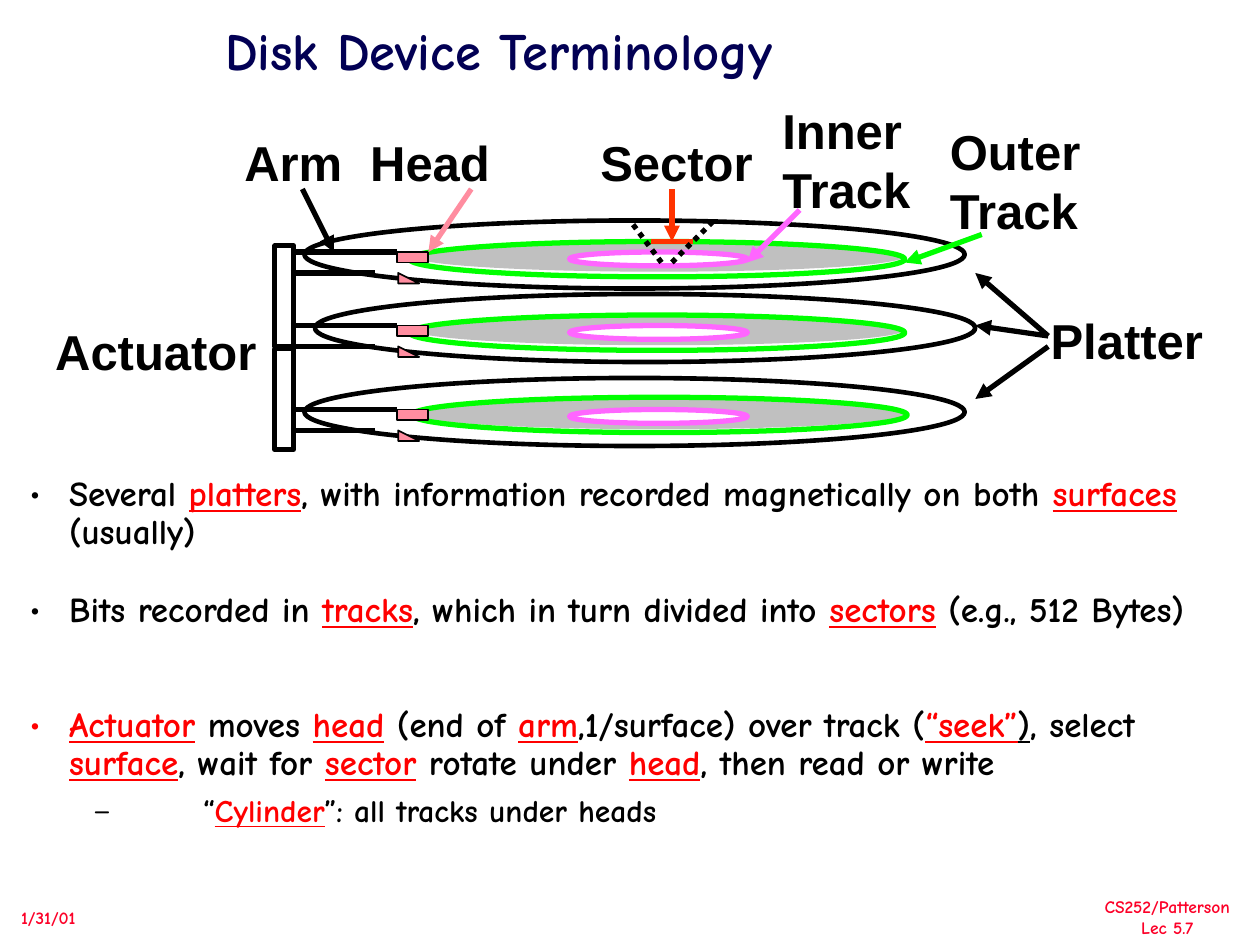
"""Build the disk device terminology slide."""
from dataclasses import dataclass

import pptx
import pptx.dml.color
import pptx.enum.dml
import pptx.enum.shapes
import pptx.enum.text
import pptx.oxml
import pptx.oxml.ns
import pptx.util

Pt = pptx.util.Pt
RGBColor = pptx.dml.color.RGBColor
Shape = pptx.enum.shapes.MSO_SHAPE
Align = pptx.enum.text.PP_ALIGN
qn = pptx.oxml.ns.qn

BLACK = RGBColor(0x00, 0x00, 0x00)
WHITE = RGBColor(0xFF, 0xFF, 0xFF)
NAVY = RGBColor(0x02, 0x00, 0x54)
RED = RGBColor(0xFF, 0x00, 0x00)
FOOTER_RED = RGBColor(0xFC, 0x01, 0x28)
SECTOR_RED = RGBColor(0xFF, 0x33, 0x00)
GREEN = RGBColor(0x00, 0xFF, 0x00)
MAGENTA = RGBColor(0xFF, 0x66, 0xFF)
SALMON = RGBColor(0xFF, 0x8D, 0xA0)
GRAY = RGBColor(0xC0, 0xC0, 0xC0)
COMIC = "Comic Neue"


@dataclass(frozen=True)
class Span:
    text: str
    color: RGBColor = BLACK
    underline: bool = False


@dataclass(frozen=True)
class Bullet:
    spans: list[Span]
    symbol: str = "•"
    color: RGBColor = BLACK
    size: float = 20
    margin: float = 22.5
    indent: float = -22.5
    before: float = 0


@dataclass(frozen=True)
class Label:
    lines: list[str]
    left: float
    top: float
    width: float
    height: float
    size: float = 28
    font: str = "Arial"
    color: RGBColor = BLACK
    align: Align = Align.LEFT


@dataclass(frozen=True)
class Line:
    start: tuple[float, float]
    end: tuple[float, float]
    color: RGBColor = BLACK
    arrow: bool = True
    dotted: bool = False


@dataclass(frozen=True)
class Platter:
    left: float
    top: float
    track_left: float = 234
    track_top: float = 12


def key(text: str) -> Span:
    return Span(text, RED, True)


def add_span(para, span: Span, size: float, font: str) -> None:
    run = para.add_run()
    run.text = span.text
    run.font.size, run.font.name, run.font.bold = Pt(size), font, True
    run.font.color.rgb = span.color
    if span.underline:
        run.font.underline = True


def draw_label(slide, label: Label) -> None:
    box = slide.shapes.add_textbox(*map(Pt, (label.left, label.top, label.width, label.height)))
    frame = box.text_frame
    frame.word_wrap = False
    frame.auto_size = pptx.enum.text.MSO_AUTO_SIZE.NONE
    for index, text in enumerate(label.lines):
        para = frame.add_paragraph() if index else frame.paragraphs[0]
        para.alignment = label.align
        add_span(para, Span(text, label.color), label.size, label.font)


def draw_bullets(slide, top: float, height: float, bullets: list[Bullet]) -> None:
    frame = slide.shapes.add_textbox(Pt(12), Pt(top), Pt(708), Pt(height)).text_frame
    frame.word_wrap = True
    frame.margin_left = frame.margin_right = Pt(5)
    frame.margin_top = frame.margin_bottom = Pt(2.4)
    for index, bullet in enumerate(bullets):
        para = frame.add_paragraph() if index else frame.paragraphs[0]
        para.line_spacing, para.space_before = 0.9, Pt(bullet.before)
        properties = para._p.get_or_add_pPr()
        properties.set("marL", str(Pt(bullet.margin)))
        properties.set("indent", str(Pt(bullet.indent)))
        namespace = pptx.oxml.ns.nsdecls("a")
        for element in (
            f'<a:buClr {namespace}><a:srgbClr val="{bullet.color}"/></a:buClr>',
            f'<a:buFont {namespace} typeface="{COMIC}"/>',
            f'<a:buChar {namespace} char="{bullet.symbol}"/>',
        ):
            properties.append(pptx.oxml.parse_xml(element))
        for span in bullet.spans:
            add_span(para, span, bullet.size, COMIC)


def draw_shape(slide, kind: Shape, left: float, top: float, width: float, height: float,
               fill: RGBColor | None = None, line: RGBColor | None = None, weight: float = 3) -> None:
    shape = slide.shapes.add_shape(kind, Pt(left), Pt(top), Pt(width), Pt(height))
    shape.shadow.inherit = False
    if fill is None:
        shape.fill.background()
    else:
        shape.fill.solid()
        shape.fill.fore_color.rgb = fill
    if line is None:
        shape.line.fill.background()
    else:
        shape.line.color.rgb = line
        shape.line.width = Pt(weight)


def draw_line(slide, line: Line) -> None:
    connector = slide.shapes.add_connector(
        pptx.enum.shapes.MSO_CONNECTOR.STRAIGHT, *map(Pt, line.start + line.end))
    connector.line.color.rgb = line.color
    connector.line.width = Pt(3)
    if line.dotted:
        connector.line.dash_style = pptx.enum.dml.MSO_LINE.ROUND_DOT
    properties = connector.element.spPr
    if line.arrow:
        outline = properties.find(qn("a:ln"))
        outline.append(outline.makeelement(qn("a:tailEnd"), {"type": "triangle"}))
    properties.append(properties.makeelement(qn("a:effectLst"), {}))


def draw_platter(slide, platter: Platter) -> None:
    top = platter.top
    draw_shape(slide, Shape.OVAL, platter.left, top, 377.3, 38.9, WHITE, BLACK, 2.64)
    draw_shape(slide, Shape.OVAL, 236.6, top + 12, 280, 17.3, GRAY)
    draw_shape(slide, Shape.OVAL, platter.track_left, top + platter.track_top, 283, 20.2, None, GREEN)
    draw_shape(slide, Shape.OVAL, 325.5, top + 18, 101.5, 7.9, WHITE, MAGENTA)
    for offset, end in ((18, 226.8), (30, 214.5)):
        draw_line(slide, Line((166.3, top + offset), (end, top + offset), arrow=False))
    draw_shape(slide, Shape.RECTANGLE, 226.8, top + 18, 18, 6, SALMON, BLACK, 1)
    draw_shape(slide, Shape.RIGHT_TRIANGLE, 227.5, top + 30, 12, 6, SALMON, BLACK, 1)


PLATTERS = [Platter(174, 126), Platter(180, 168), Platter(174, 216, 235.4, 11)]
LABELS = [
    Label(["Arm"], 132.5, 72, 74, 41),
    Label(["Head"], 204.5, 72, 86, 41),
    Label(["Sector"], 336, 72, 105, 41),
    Label(["Inner", "Track"], 440, 54, 93, 75),
    Label(["Outer", "Track"], 535.7, 66.2, 93, 75),
    Label(["Platter"], 593.3, 174.2, 105, 41),
    Label(["Actuator"], 24.5, 180, 133, 41),
    Label(["CS252/Patterson", "Lec 5.7"], 622.5, 508.5, 89, 31, 10, COMIC, FOOTER_RED, Align.CENTER),
    Label(["1/31/01"], 5, 514.8, 48, 19.4, 10, COMIC, FOOTER_RED),
]
LINES = [
    Line((599, 192), (557.3, 156)),
    Line((599, 192), (557.3, 186)),
    Line((599, 198), (557.3, 228)),
    Line((561, 134), (517, 150), GREEN),
    Line((457, 120), (427, 150), MAGENTA),
    Line((384, 108), (384, 138), SECTOR_RED),
    Line((372, 138), (396, 138), SECTOR_RED, arrow=False),
    Line((384, 150), (408, 126), arrow=False, dotted=True),
    Line((378, 150), (360, 126), arrow=False, dotted=True),
    Line((269.3, 108), (244.8, 144), SALMON),
    Line((172.8, 108), (190.8, 144)),
]
PLATTER_NOTE = Bullet([
    Span("Several "), key("platters"), Span(", with information recorded magnetically on both "),
    key("surfaces"), Span(" (usually)")])
TRACK_NOTE = Bullet([
    Span("Bits recorded in "), key("tracks"), Span(", which in turn divided into "),
    key("sectors"), Span(" (e.g., 512 Bytes)")])
SEEK_NOTE = Bullet([
    key("Actuator"), Span(" moves "), key("head"), Span(" (end of "), key("arm"),
    Span(",1/surface) over track ("), key("“seek”"), Span(")", underline=True), Span(", select "),
    key("surface"), Span(", wait for "), key("sector"), Span(" rotate under "), key("head"),
    Span(", then read or write")], color=RED)
CYLINDER_NOTE = Bullet(
    [Span("“"), key("Cylinder"), Span("”: all tracks under heads")],
    "–", size=18, margin=99, indent=-63, before=6.8)


def main() -> None:
    deck = pptx.Presentation()
    deck.slide_width, deck.slide_height = Pt(720), Pt(540)
    slide = deck.slides.add_slide(deck.slide_layouts[5])
    title = slide.shapes.title
    title.left, title.top, title.width, title.height = map(Pt, (60, 12, 450, 37.5))
    title.text_frame.vertical_anchor = pptx.enum.text.MSO_ANCHOR.MIDDLE
    para = title.text_frame.paragraphs[0]
    para.alignment, para.line_spacing = Align.CENTER, 0.9
    add_span(para, Span("Disk Device Terminology", NAVY), 30, COMIC)
    for platter in PLATTERS:
        draw_platter(slide, platter)
    for top in (140.4, 199.4):
        draw_shape(slide, Shape.RECTANGLE, 157, top, 10.8, 57.6, None, BLACK, 2.64)
    for line in LINES:
        draw_line(slide, line)
    for label in LABELS:
        draw_label(slide, label)
    draw_bullets(slide, 270, 47.5, [PLATTER_NOTE])
    draw_bullets(slide, 336, 26, [TRACK_NOTE])
    draw_bullets(slide, 402, 73.5, [SEEK_NOTE, CYLINDER_NOTE])
    deck.save("out.pptx")


if __name__ == "__main__":
    main()
